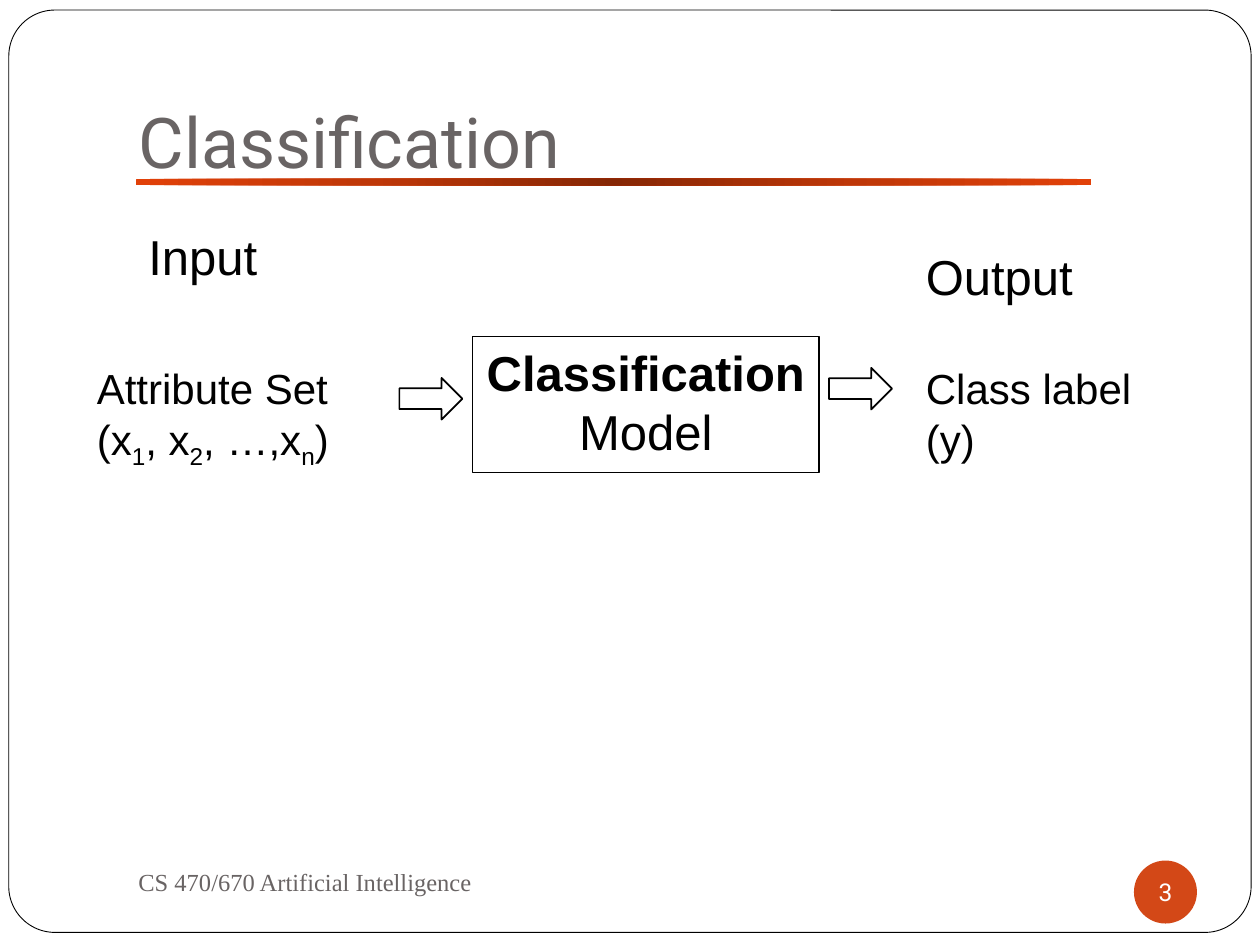
import lxml.etree
import pptx
import pptx.dml.color
import pptx.enum.shapes
import pptx.enum.text
import pptx.oxml
import pptx.oxml.ns
import pptx.util

Inches, Pt = pptx.util.Inches, pptx.util.Pt
RGBColor = pptx.dml.color.RGBColor
SHAPE = pptx.enum.shapes.MSO_SHAPE
ALIGN = pptx.enum.text.PP_ALIGN
ANCHOR = pptx.enum.text.MSO_ANCHOR
AUTO_SIZE = pptx.enum.text.MSO_AUTO_SIZE

BLACK = RGBColor(0x00, 0x00, 0x00)
WHITE = RGBColor(0xFF, 0xFF, 0xFF)
GRAY = RGBColor(0x69, 0x64, 0x64)
ORANGE = RGBColor(0xD3, 0x48, 0x17)
RULE_STOPS = [(0, "852705"), (50, "BE3708"), (100, "E14109")]

# Content: "_" marks the next character as a subscript
TITLE = "Classification"
FOOTER = "CS 470/670 Artificial Intelligence"
PAGE_NUMBER = "3"
MODEL = ["Classification", "Model"]
LABELS = [  # lines, size, (left, top, width, height)
    (["Input"], 28, (1.08, 1.75, 1.16, 0.57)),
    (["Attribute Set", "(x_1, x_2, …,x_n)"], 24, (0.67, 2.83, 2.22, 0.91)),
    (["Output"], 28, (7.25, 1.91, 1.49, 0.57)),
    (["Class label", "(y)"], 24, (7.25, 2.83, 1.96, 0.91)),
]
ARROWS = [(3.17, 3), (6.58, 2.92)]  # left, top
ARROW_SIZE = (0.5, 0.33)


def add_shape(page, kind, area, fill=WHITE, line_width=None):
    shape = page.shapes.add_shape(kind, *map(Inches, area))
    shape.shadow.inherit = False
    shape.fill.solid()
    shape.fill.fore_color.rgb = fill
    if line_width:
        shape.line.color.rgb = BLACK
        shape.line.width = Pt(line_width)
    else:
        shape.line.fill.background()
    return shape


def add_spans(para, line):
    first, *rest = line.split("_")
    para.add_run().text = first
    for piece in rest:
        span = para.add_run()
        span.text = piece[0]
        span.font._element.set("baseline", "-25000")
        para.add_run().text = piece[1:]


def write(box, lines, size, font="Arial", color=BLACK, align=ALIGN.LEFT,
          anchor=ANCHOR.TOP, wrap=True):
    frame = box.text_frame
    frame.word_wrap = wrap
    frame.vertical_anchor = anchor
    for index, line in enumerate(lines):
        para = frame.add_paragraph() if index else frame.paragraphs[0]
        add_spans(para, line)
        para.alignment = align
        para.font.name = font
        para.font.size = Pt(size)
        para.font.color.rgb = color
    return frame


def set_radial_gradient(shape, stops):
    shape.fill.gradient()
    gradient = shape._element.spPr.find(pptx.oxml.ns.qn("a:gradFill"))
    stop_xml = "".join(
        f'<a:gs pos="{share * 1000}"><a:srgbClr val="{color}"/></a:gs>'
        for share, color in stops)
    radial = pptx.oxml.parse_xml(
        f'<a:gradFill {pptx.oxml.ns.nsdecls("a")} rotWithShape="1">'
        f'<a:gsLst>{stop_xml}</a:gsLst><a:path path="circle">'
        '<a:fillToRect l="50000" t="50000" r="50000" b="50000"/>'
        '</a:path></a:gradFill>')
    gradient.getparent().replace(gradient, radial)


def main():
    deck = pptx.Presentation()
    deck.slide_width, deck.slide_height = Inches(10), Inches(7.5)
    page = deck.slides.add_slide(deck.slide_layouts[5])

    # Page frame and rule under the title
    border = add_shape(page, SHAPE.ROUNDED_RECTANGLE, (0.07, 0.08, 9.86, 7.32),
                       line_width=0.5)
    border.adjustments[0] = 0.05
    rule = add_shape(page, SHAPE.ROUNDED_RECTANGLE, (1.08, 1.42, 7.58, 0.05))
    set_radial_gradient(rule, RULE_STOPS)

    # Title, brought in front of the frame
    title = page.shapes.title
    title.left, title.top, title.width, title.height = map(
        Inches, (1, 0.3, 8.5, 1.25))
    frame = write(title, [TITLE], 40, "Roboto", GRAY, anchor=ANCHOR.BOTTOM)
    frame.auto_size = AUTO_SIZE.NONE
    frame.margin_bottom = Inches(0.1)
    page.shapes._spTree.append(title._element)

    # Input and output labels
    for lines, size, area in LABELS:
        box = page.shapes.add_textbox(*map(Inches, area))
        write(box, lines, size, wrap=False).auto_size = AUTO_SIZE.SHAPE_TO_FIT_TEXT

    # Model box with the arrows on both sides
    model = add_shape(page, SHAPE.RECTANGLE, (3.75, 2.67, 2.75, 1.08), line_width=1)
    frame = write(model, MODEL, 28, align=ALIGN.CENTER)
    frame.paragraphs[0].font.bold = True
    for corner in ARROWS:
        add_shape(page, SHAPE.RIGHT_ARROW, corner + ARROW_SIZE, line_width=1)

    # Footer and page number
    footer = page.shapes.add_textbox(*map(Inches, (1, 6.75, 4.33, 0.5)))
    write(footer, [FOOTER], 14, "Times New Roman", GRAY, anchor=ANCHOR.MIDDLE)
    badge = add_shape(page, SHAPE.OVAL, (9, 6.83, 0.5, 0.5), ORANGE)
    frame = write(badge, [PAGE_NUMBER], 14, "Roboto", WHITE, ALIGN.CENTER,
                  ANCHOR.MIDDLE, wrap=False)
    frame.margin_left = frame.margin_right = 0
    frame.margin_top = frame.margin_bottom = 0

    deck.save("out.pptx")


if __name__ == "__main__":
    main()
